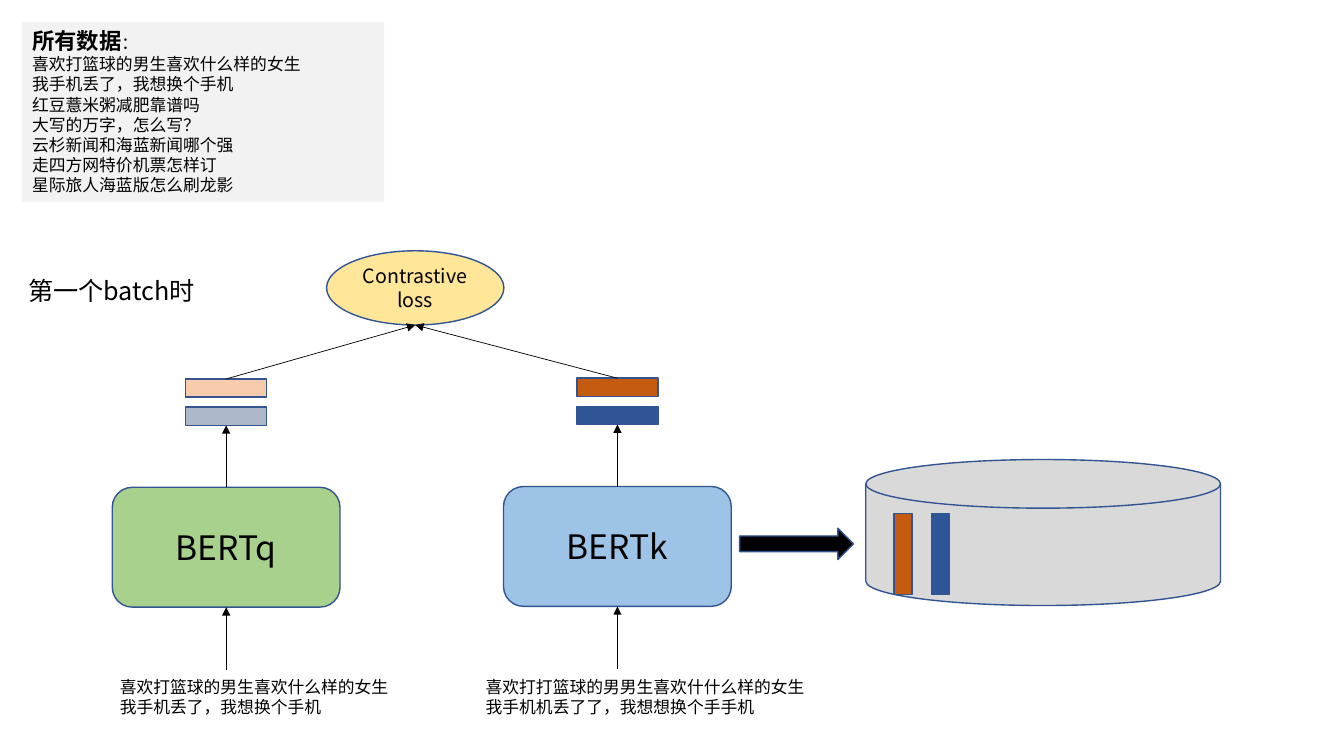
from lxml.etree import SubElement
from pptx import Presentation
from pptx.dml.color import RGBColor
from pptx.enum.shapes import MSO_CONNECTOR, MSO_SHAPE
from pptx.enum.text import MSO_ANCHOR, MSO_AUTO_SIZE, PP_ALIGN
from pptx.oxml.ns import qn
from pptx.util import Cm, Pt

FONT = "Noto Sans CJK SC"
COLORS = {
    "black": "000000", "outline": "325491", "panel": "F2F2F2",
    "loss": "FFE699", "disk": "D9D9D9", "green": "A9D18E", "blue": "9DC3E6",
    "peach": "F8CBAD", "slate": "ADB9CA", "rust": "C55A11", "navy": "2F5597",
}

# Each text is a list of paragraphs, each paragraph a list of (text, size, bold)
QUERIES = [
    "喜欢打篮球的男生喜欢什么样的女生",
    "我手机丢了，我想换个手机",
    "红豆薏米粥减肥靠谱吗",
    "大写的万字，怎么写？",
    "云杉新闻和海蓝新闻哪个强",
    "走四方网特价机票怎样订",
    "星际旅人海蓝版怎么刷龙影",
]
ALL_DATA = [[("所有数据", 16, True), ("：", 12, False)]]
ALL_DATA += [[(q, 12, False)] for q in QUERIES]
BATCH_LABEL = [[("第一个batch时", 18, False)]]

ENCODERS = [
    {"name": "BERTq", "center": 5.7, "top": 12.28, "fill": "green",
     "bars": ["peach", "slate"], "text_box": (2.77, 16.92, 9.12, 1.27),
     "batch": QUERIES[:2]},
    {"name": "BERTk", "center": 15.56, "top": 12.26, "fill": "blue",
     "bars": ["rust", "navy"], "text_box": (11.99, 16.92, 8.86, 1.27),
     "batch": ["喜欢打打篮球的男男生喜欢什什么样的女生",
               "我手机机丢了了，我想想换个手手机"]},
]
ENCODER_W, ENCODER_H = 5.74, 3.02
BAR_W, BAR_H, BAR_STEP = 2.04, 0.46, 0.71
BARS_ABOVE = 2.73      # from the first bar's top down to the encoder's top
INPUT_ARROW = 4.6      # from the encoder's top down to the arrow's start
LOSS_BOX = (8.23, 6.32, 4.47, 1.87)
DISK_BOX = (21.82, 11.58, 8.94, 3.68)
STORED_LEFT, STORED_TOP, STORED_STEP = 21.74, 13.73, 0.94


def rgb(name):
    return RGBColor.from_string(COLORS[name])


def write(sp, paragraphs, align=PP_ALIGN.LEFT, **frame):
    """Fill a shape with paragraphs of runs; frame holds text frame settings."""
    tf = sp.text_frame
    for key, value in {"word_wrap": True, **frame}.items():
        setattr(tf, key, value)
    for i, runs in enumerate(paragraphs):
        p = tf.paragraphs[0] if i == 0 else tf.add_paragraph()
        p.alignment = align
        p.line_spacing = Pt(1.2 * max(size for _, size, _ in runs))
        for text, size, bold in runs:
            r = p.add_run()
            r.text = text
            formats = {"name": FONT, "size": Pt(size), "bold": bold}
            for key, value in formats.items():
                setattr(r.font, key, value)
            r.font.color.rgb = rgb("black")
            SubElement(r.font._element, qn("a:ea"), typeface=FONT)


def add_text(shapes, box, paragraphs):
    sp = shapes.add_textbox(*map(Cm, box))
    write(sp, paragraphs, auto_size=MSO_AUTO_SIZE.SHAPE_TO_FIT_TEXT)


def add_block(shapes, kind, box, fill, label=None, size=12, outlined=True):
    sp = shapes.add_shape(kind, *map(Cm, box))
    sp.shadow.inherit = False
    sp.fill.solid()
    sp.fill.fore_color.rgb = rgb(fill)
    if outlined:
        sp.line.color.rgb = rgb("outline")
        sp.line.width = Pt(1)
    else:
        sp.line.fill.background()
    if label:
        write(sp, [[(label, size, False)]], PP_ALIGN.CENTER,
              vertical_anchor=MSO_ANCHOR.MIDDLE)
    return sp


def add_arrow(shapes, start, end, begin=None, finish=None):
    """Draw a thin arrow; begin and finish are (shape, site) to join to."""
    c = shapes.add_connector(MSO_CONNECTOR.STRAIGHT, *map(Cm, start + end))
    c.line.color.rgb = rgb("black")
    c.line.width = Pt(0.5)
    SubElement(c.line._get_or_add_ln(), qn("a:tailEnd"), type="triangle")
    SubElement(c._element.spPr, qn("a:effectLst"))
    if begin:
        c.begin_connect(*begin)
    if finish:
        c.end_connect(*finish)


def add_encoder(shapes, enc, loss_point):
    x, top = enc["center"], enc["top"]
    box = (x - ENCODER_W / 2, top, ENCODER_W, ENCODER_H)
    model = add_block(shapes, MSO_SHAPE.ROUNDED_RECTANGLE, box,
                      enc["fill"], enc["name"], 24)
    bars_top = top - BARS_ABOVE
    bars = [
        add_block(shapes, MSO_SHAPE.RECTANGLE,
                  (x - BAR_W / 2, bars_top + i * BAR_STEP, BAR_W, BAR_H), fill)
        for i, fill in enumerate(enc["bars"])
    ]
    add_text(shapes, enc["text_box"], [[(t, 12, False)] for t in enc["batch"]])
    add_arrow(shapes, (x, top + INPUT_ARROW), (x, top + ENCODER_H),
              finish=(model, 2))
    add_arrow(shapes, (x, top), (x, bars_top + BAR_STEP + BAR_H),
              (model, 0), (bars[-1], 2))
    add_arrow(shapes, (x, bars_top), loss_point, (bars[0], 0))


def main():
    prs = Presentation()
    prs.slide_width, prs.slide_height = Cm(33.87), Cm(19.05)
    shapes = prs.slides.add_slide(prs.slide_layouts[6]).shapes

    panel = add_block(shapes, MSO_SHAPE.RECTANGLE, (0.56, 0.56, 9.12, 4.52),
                      "panel", outlined=False)
    write(panel, ALL_DATA, vertical_anchor=MSO_ANCHOR.TOP,
          auto_size=MSO_AUTO_SIZE.SHAPE_TO_FIT_TEXT)
    add_text(shapes, (0.46, 6.81, 4.78, 1.02), BATCH_LABEL)

    add_block(shapes, MSO_SHAPE.OVAL, LOSS_BOX, "loss", "Contrastive loss", 14)
    left, top, width, height = LOSS_BOX
    for enc in ENCODERS:
        add_encoder(shapes, enc, (left + width / 2, top + height))

    add_block(shapes, MSO_SHAPE.FLOWCHART_MAGNETIC_DISK, DISK_BOX, "disk")
    for i, fill in enumerate(ENCODERS[1]["bars"]):
        box = (STORED_LEFT + i * STORED_STEP, STORED_TOP, BAR_W, BAR_H)
        add_block(shapes, MSO_SHAPE.RECTANGLE, box, fill).rotation = 270
    add_block(shapes, MSO_SHAPE.RIGHT_ARROW, (18.64, 13.31, 2.87, 0.79), "black")

    prs.save("out.pptx")


if __name__ == "__main__":
    main()
